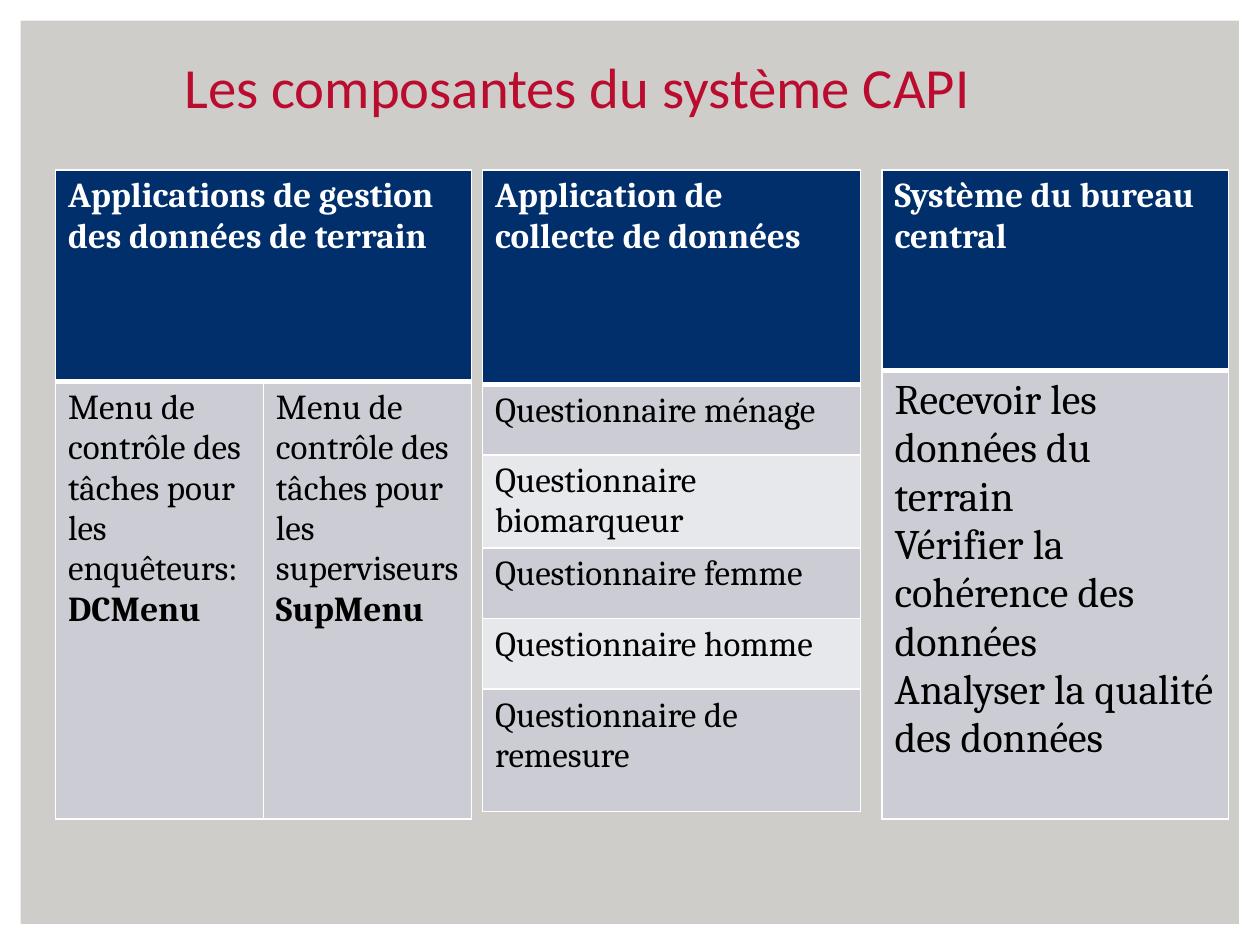
from lxml.etree import SubElement
from pptx import Presentation
from pptx.dml.color import RGBColor
from pptx.enum.shapes import MSO_SHAPE as Shape
from pptx.enum.text import MSO_ANCHOR as Anchor, PP_ALIGN as Align
from pptx.oxml.ns import qn
from pptx.util import Inches, Pt

COLORS = {
    "background": "CFCDC9", "white": "FFFFFF", "title": "BA0C2F",
    "header": "002F6C", "band": "CCCDD4", "light": "E7E8EB", "text": "000000",
}
TABLE_TOP = 1.35

# Each cell is a list of paragraphs, each paragraph a list of (text, bold) runs.
FIELD = [
    [[[("Applications de gestion des données de terrain", True)]]],
    [[[("Menu de contrôle des tâches pour les enquêteurs: ", False), ("DCMenu", True)]],
     [[("Menu de contrôle des tâches pour les superviseurs ", False), ("SupMenu", True)]]],
]
COLLECTION = [[[[("Application de collecte de données", True)]]]] + [
    [[[(f"Questionnaire {kind}", False)]]]
    for kind in ("ménage", "biomarqueur", "femme", "homme", "de remesure")
]
OFFICE = [
    [[[("Système du bureau central", True)]]],
    [[[(task, False)] for task in (
        "Recevoir les données du terrain",
        "Vérifier la cohérence des données",
        "Analyser la qualité des données")]],
]


def color(name):
    return RGBColor.from_string(COLORS[name])


def add_title(page, text):
    title = page.shapes.title
    title.left, title.top = Inches(0.33), Inches(0.33)
    title.width, title.height = Inches(8.5), Inches(0.67)
    frame = title.text_frame
    frame.text = text
    frame.vertical_anchor = Anchor.BOTTOM
    para = frame.paragraphs[0]
    para.alignment = Align.CENTER
    font = para.runs[0].font
    font.name, font.size = "Calibri", Pt(32.4)
    font.color.rgb = color("title")


def add_border_frame(page, deck):
    """White band around the slide, behind the title."""
    band = page.shapes.add_shape(Shape.FRAME, 0, 0, deck.slide_width, deck.slide_height)
    band.adjustments[0] = 0.022
    band.shadow.inherit = False
    band.fill.solid()
    band.fill.fore_color.rgb = color("white")
    band.line.fill.background()
    page.shapes.title.element.addprevious(band.element)


def set_borders(cell, top, bottom):
    """White cell edges; the top and bottom widths are in points."""
    properties = cell._tc.get_or_add_tcPr()
    for tag, width in (("a:lnL", 1), ("a:lnR", 1), ("a:lnT", top), ("a:lnB", bottom)):
        line = SubElement(properties, qn(tag), w=str(Pt(width)))
        fill = SubElement(line, qn("a:solidFill"))
        SubElement(fill, qn("a:srgbClr"), val=COLORS["white"])


def fill_cell(cell, paragraphs, size, text_color):
    frame = cell.text_frame
    for index, runs in enumerate(paragraphs):
        para = frame.paragraphs[0] if index == 0 else frame.add_paragraph()
        for text, bold in runs:
            span = para.add_run()
            span.text = text
            span.font.name, span.font.size, span.font.bold = "Cambria", Pt(size), bold
            span.font.color.rgb = color(text_color)


def add_component_table(page, left, width, heights, rows, body_size=20):
    columns = len(rows[-1])
    table = page.shapes.add_table(
        len(rows), columns, Inches(left), Inches(TABLE_TOP),
        Inches(width), Inches(sum(heights))).table
    for column in table.columns:
        column.width = Inches(width / columns)
    for r, height in enumerate(heights):
        table.rows[r].height = Inches(height)
        fill = "header" if r == 0 else "band" if r % 2 else "light"
        for c in range(columns):
            cell = table.cell(r, c)
            set_borders(cell, top=3 if r == 1 else 1, bottom=3 if r == 0 else 1)
            cell.fill.solid()
            cell.fill.fore_color.rgb = color(fill)
        for c, paragraphs in enumerate(rows[r]):
            fill_cell(table.cell(r, c), paragraphs, body_size if r else 20,
                      "text" if r else "white")
    if columns > 1:
        table.cell(0, 0).merge(table.cell(0, columns - 1))


def main():
    deck = Presentation()
    deck.slide_width, deck.slide_height = Inches(10), Inches(7.5)
    page = deck.slides.add_slide(deck.slide_layouts[5])
    page.background.fill.solid()
    page.background.fill.fore_color.rgb = color("background")
    add_title(page, "Les composantes du système CAPI")
    add_border_frame(page, deck)
    add_component_table(page, 0.44, 3.3, [1.68, 3.47], FIELD)
    add_component_table(page, 3.83, 3, [1.7] + [0.56] * 4 + [0.97], COLLECTION)
    add_component_table(page, 7, 2.75, [1.59, 3.56], OFFICE, body_size=24)
    deck.save("out.pptx")


if __name__ == "__main__":
    main()
